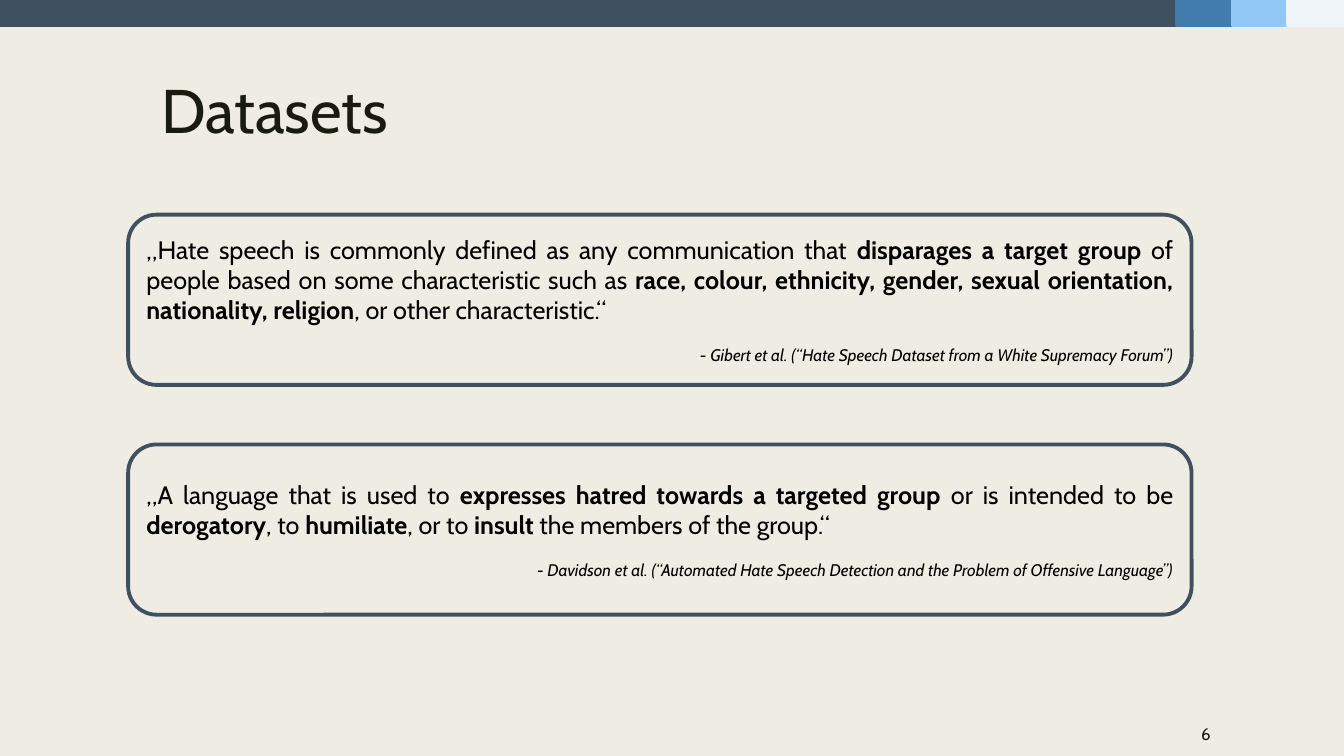
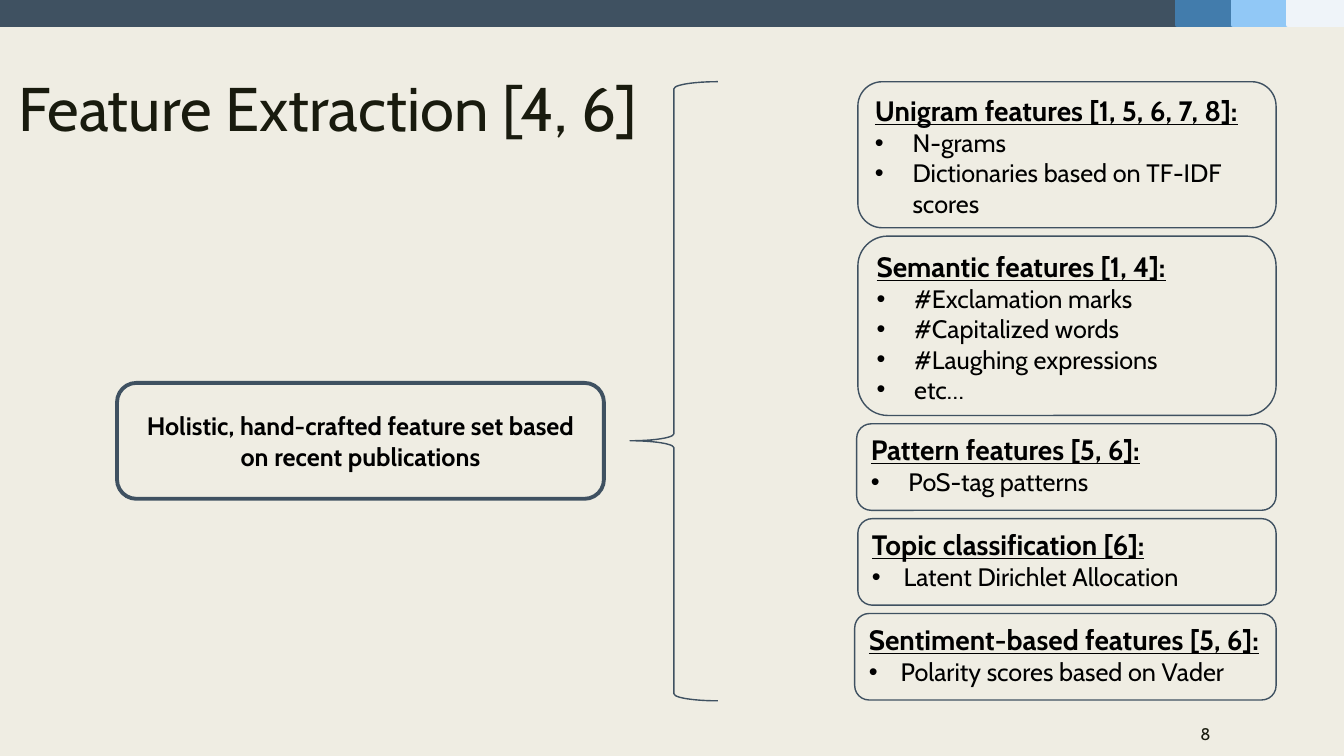
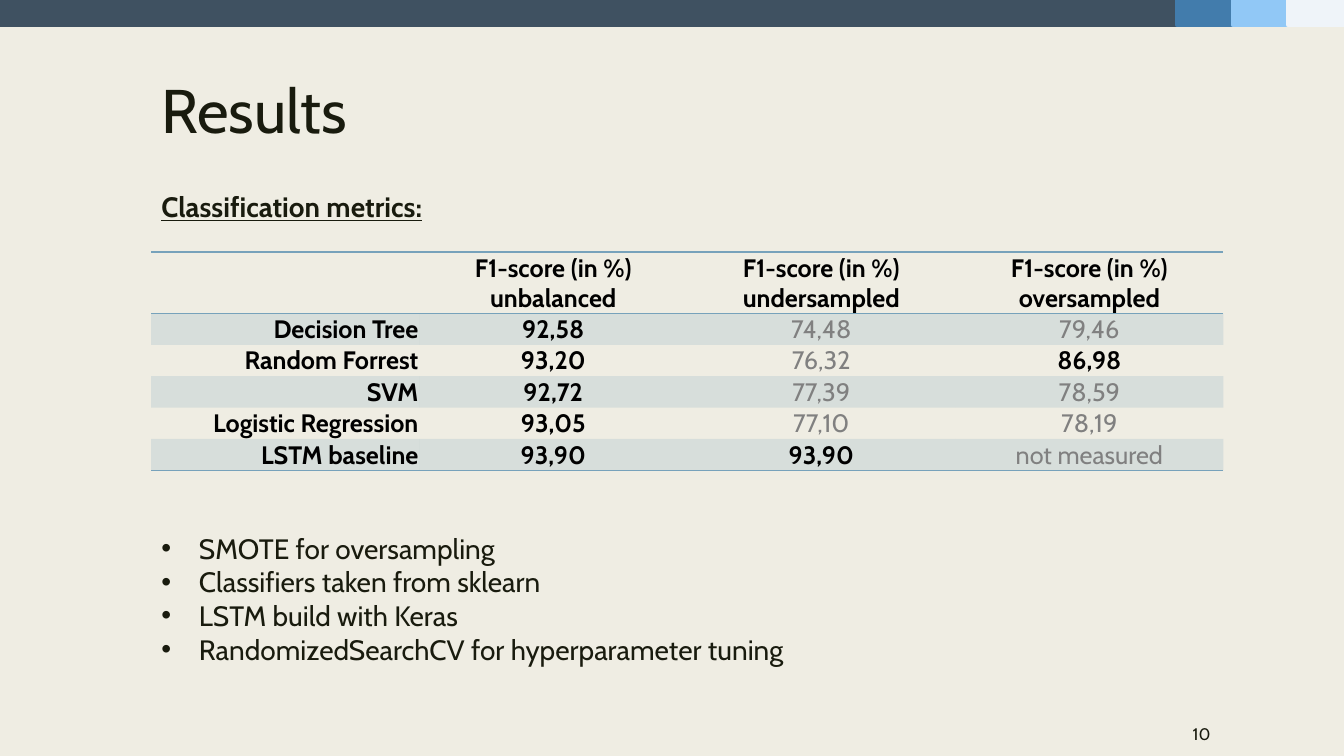
from lxml import etree
from pptx import Presentation
from pptx.dml.color import RGBColor
from pptx.enum import shapes, text
from pptx.oxml.ns import qn
from pptx.util import Cm, Pt

FONT = "Cabin"
PAPER = RGBColor(0xEF, 0xED, 0xE3)
SLATE = RGBColor(0x3F, 0x51, 0x61)
BLUE = RGBColor(0x42, 0x7C, 0xAC)
SKY = RGBColor(0x91, 0xC8, 0xF6)
ICE = RGBColor(0xEF, 0xF4, 0xF9)
INK = RGBColor(0x19, 0x1B, 0x0E)
BLACK = RGBColor(0, 0, 0)
GREY = RGBColor(0x80, 0x80, 0x80)
RULE = RGBColor(0x77, 0xA2, 0xBB)

PLAIN_TABLE = "{2D5ABB26-0587-4C30-8999-92F81FD0307C}"
TITLE_ONLY, TWO_CONTENT = 5, 3
LEFT, CENTER, RIGHT, JUSTIFY = (
    text.PP_ALIGN.LEFT, text.PP_ALIGN.CENTER,
    text.PP_ALIGN.RIGHT, text.PP_ALIGN.JUSTIFY)

QUOTES = [
    (["„Hate speech is commonly defined as any communication that ",
      "disparages a target group",
      " of people based on some characteristic such as ",
      "race, colour, ethnicity, gender, sexual orientation, nationality, religion",
      ", or other characteristic.“"],
     "- Gibert et al. (“Hate Speech Dataset from a White Supremacy Forum”)"),
    (["„A language that is used to ",
      "expresses hatred towards a targeted group ",
      "or is intended to be ", "derogatory", ", to ", "humiliate",
      ", or to ", "insult", " the members of the group.“"],
     "- Davidson et al. (“Automated Hate Speech Detection and the Problem of "
     "Offensive Language”)"),
]

# heading, items, width, height and bullet indent in cm
FEATURES = [
    ("Unigram features [1, 5, 6, 7, 8]:",
     ["N-grams", "Dictionaries based on TF-IDF scores"], 10.54, 3.68, 0.95),
    ("Semantic features [1, 4]:",
     ["#Exclamation marks", "#Capitalized words", "#Laughing expressions", "etc…"],
     10.54, 4.52, 0.95),
    ("Pattern features [5, 6]:", ["PoS-tag patterns"], 10.57, 2.18, 0.95),
    ("Topic classification [6]:", ["Latent Dirichlet Allocation"], 10.54, 2.18, 0.8),
    ("Sentiment-based features [5, 6]:", ["Polarity scores based on Vader"],
     10.62, 2.18, 0.8),
]

SAMPLINGS = ["unbalanced", "undersampled", "oversampled"]
SCORES = [
    ("Decision Tree", "92,58", "74,48", "79,46"),
    ("Random Forrest", "93,20", "76,32", "86,98"),
    ("SVM", "92,72", "77,39", "78,59"),
    ("Logistic Regression", "93,05", "77,10", "78,19"),
    ("LSTM baseline", "93,90", "93,90", "not measured"),
]
BEST_SCORES = {"86,98", "93,90"}

SETUP_NOTES = [
    "SMOTE for oversampling",
    "Classifiers taken from sklearn",
    "LSTM build with Keras",
    "RandomizedSearchCV\u00a0for hyperparameter tuning",
]


def add_run(paragraph, wording, size, color=BLACK, **styles):
    """Append one run; styles are font attributes such as bold or italic."""
    run = paragraph.add_run()
    run.text = wording
    font = run.font
    font.name, font.size = FONT, Pt(size)
    font.color.rgb = color
    for style, value in styles.items():
        setattr(font, style, value)


def add_paragraph(frame, align=LEFT, line=1.0, before=0, after=0):
    """Return the frame's first paragraph while empty, else a new one."""
    first = frame.paragraphs[0]
    paragraph = frame.add_paragraph() if first.runs else first
    paragraph.alignment = align
    paragraph.line_spacing = line
    paragraph.space_before, paragraph.space_after = Pt(before), Pt(after)
    return paragraph


def set_bullet(paragraph, indent):
    """Give a paragraph a hanging bullet, or none when indent is zero."""
    properties = paragraph._p.get_or_add_pPr()
    properties.set("marL", str(Cm(indent)))
    properties.set("indent", str(-Cm(indent)))
    if indent:
        etree.SubElement(properties, qn("a:buFont")).set("typeface", "Arial")
        etree.SubElement(properties, qn("a:buChar")).set("char", "•")
    else:
        etree.SubElement(properties, qn("a:buNone"))


def add_bullets(frame, items, size, indent, color=BLACK):
    """Write items as a bulleted list."""
    for item in items:
        paragraph = add_paragraph(frame)
        add_run(paragraph, item, size, color, bold=False)
        set_bullet(paragraph, indent)


def place(holder, left, top, width, height):
    """Move a placeholder and return its frame, anchored at the top."""
    holder.left, holder.top = Cm(left), Cm(top)
    holder.width, holder.height = Cm(width), Cm(height)
    frame = holder.text_frame
    frame.word_wrap = True
    frame.auto_size = text.MSO_AUTO_SIZE.NONE
    frame.vertical_anchor = text.MSO_ANCHOR.TOP
    return frame


def add_outline(slide, kind, left, top, width, height, weight,
                anchor=text.MSO_ANCHOR.MIDDLE):
    """Draw an unfilled slate outline."""
    outline = slide.shapes.add_shape(
        kind, Cm(left), Cm(top), Cm(width), Cm(height))
    outline.shadow.inherit = False
    outline.fill.background()
    outline.line.color.rgb = SLATE
    outline.line.width = Pt(weight)
    outline.text_frame.word_wrap = True
    outline.text_frame.vertical_anchor = anchor
    return outline


def add_master_bands(prs, slide):
    """Draw the top bands and move them to the master, for every slide."""
    left = 0
    for color, width in [(SLATE, 29.67), (BLUE, 1.4), (SKY, 1.4), (ICE, 1.4)]:
        band = slide.shapes.add_shape(
            shapes.MSO_SHAPE.RECTANGLE, Cm(left), 0, Cm(width), Cm(0.64))
        band.shadow.inherit = False
        band.fill.solid()
        band.fill.fore_color.rgb = color
        band.line.color.rgb = color
        band.line.width = Pt(2.75)
        prs.slide_master.shapes.element.append(band.element)
        left += width


def add_slide(prs, layout, title, number, left=3.81, top=1.9):
    """Add a slide with its title and page number."""
    slide = prs.slides.add_slide(prs.slide_layouts[layout])
    heading = place(slide.shapes.title, left, top, 26.67, 4.11)
    add_run(add_paragraph(heading, line=0.89), title, 44, INK)
    page = slide.shapes.add_textbox(Cm(26.31), Cm(17.93), Cm(4.45), Cm(1.12))
    page.text_frame.word_wrap = True
    page.text_frame.vertical_anchor = text.MSO_ANCHOR.MIDDLE
    add_run(add_paragraph(page.text_frame, RIGHT), str(number), 12, INK)
    return slide


def add_quote(slide, top, phrases, source):
    """Add a framed quote; every second phrase is bold."""
    frame = add_outline(slide, shapes.MSO_SHAPE.ROUNDED_RECTANGLE,
                        3.23, top, 26.8, 4.29, 2.75).text_frame
    quote = add_paragraph(frame, JUSTIFY)
    for index, phrase in enumerate(phrases):
        add_run(quote, phrase, 18, bold=index % 2 == 1)
    add_run(add_paragraph(frame, RIGHT, line=2.0), source, 12, italic=True)


def add_feature_stack(slide, right, top, gap):
    """Stack the feature groups under each other, flush right."""
    for heading, items, width, height, indent in FEATURES:
        frame = add_outline(slide, shapes.MSO_SHAPE.ROUNDED_RECTANGLE,
                            right - width, top, width, height, 1,
                            text.MSO_ANCHOR.TOP).text_frame
        add_run(add_paragraph(frame), heading, 20, bold=True, underline=True)
        add_bullets(frame, items, 18, indent)
        top += height + gap


def add_border(cell, side):
    """Draw a thin rule on one side of a cell: lnT or lnB."""
    border = etree.SubElement(cell._tc.get_or_add_tcPr(), qn("a:" + side))
    border.set("w", str(Pt(1)))
    fill = etree.SubElement(border, qn("a:solidFill"))
    etree.SubElement(fill, qn("a:srgbClr")).set("val", str(RULE))


def fill_cell(cell, shaded):
    """Tint a cell with the translucent rule colour, or leave it clear."""
    if not shaded:
        cell.fill.background()
        return
    cell.fill.solid()
    cell.fill.fore_color.rgb = RULE
    tint = cell._tc.tcPr.find(qn("a:solidFill")).find(qn("a:srgbClr"))
    etree.SubElement(tint, qn("a:alpha")).set("val", "20000")


def write_cell(cell, lines, align, anchor, strong):
    """Write a cell's lines, bold black or plain grey."""
    cell.margin_left = cell.margin_right = cell.margin_top = Cm(0.02)
    cell.margin_bottom = 0
    cell.vertical_anchor = anchor
    for wording in lines:
        add_run(add_paragraph(cell.text_frame, align), wording, 18,
                BLACK if strong else GREY, bold=strong)


def add_score_table(slide):
    """Add the table of F1 scores per classifier and sampling."""
    header = [[]] + [["F1-score (in %)", sampling] for sampling in SAMPLINGS]
    rows = [header] + [[[value] for value in row] for row in SCORES]
    table = slide.shapes.add_table(
        len(rows), len(header), Cm(3.81), Cm(6.35), Cm(27.02), Cm(5.5)).table
    table.first_row = table.horz_banding = False
    table._tbl.tblPr.find(qn("a:tableStyleId")).text = PLAIN_TABLE
    for r, row in enumerate(rows):
        table.rows[r].height = Cm(0.79 if r else 1.55)
        for c, lines in enumerate(row):
            cell = table.cell(r, c)
            if r == 0:
                add_border(cell, "lnT")
            if r in (0, len(rows) - 1):
                add_border(cell, "lnB")
            fill_cell(cell, shaded=r % 2 == 1)
            write_cell(cell, lines,
                       RIGHT if r and c == 0 else CENTER,
                       text.MSO_ANCHOR.BOTTOM if r else text.MSO_ANCHOR.MIDDLE,
                       r == 0 or c < 2 or lines[0] in BEST_SCORES)


def build_datasets(prs):
    """Slide with two definitions of hate speech."""
    slide = add_slide(prs, TITLE_ONLY, "Datasets", 6)
    add_master_bands(prs, slide)
    for index, (phrases, source) in enumerate(QUOTES):
        add_quote(slide, 5.41 + index * 5.79, phrases, source)


def build_features(prs):
    """Slide that splits the feature set into its groups."""
    slide = add_slide(prs, TITLE_ONLY, "Feature Extraction [4, 6]", 8, 0.2, 1.85)
    summary = add_outline(slide, shapes.MSO_SHAPE.ROUNDED_RECTANGLE,
                          2.95, 9.65, 12.27, 2.92, 2.75).text_frame
    add_run(add_paragraph(summary, CENTER),
            "Holistic, hand-crafted feature set based on recent publications",
            18, bold=True)
    add_feature_stack(slide, right=32.16, top=2.06, gap=0.21)
    brace = add_outline(slide, shapes.MSO_SHAPE.LEFT_BRACE,
                        15.88, 2.06, 2.21, 15.6, 1)
    brace.adjustments[0], brace.adjustments[1] = 0.08, 0.58


def build_results(prs):
    """Slide with the classification scores and the setup."""
    slide = add_slide(prs, TWO_CONTENT, "Results", 10)
    metrics = place(slide.placeholders[1], 3.81, 4.72, 7.14, 1.32)
    caption = add_paragraph(metrics, line=0.94, before=10, after=2)
    add_run(caption, "Classification metrics:", 20, INK, bold=True, underline=True)
    set_bullet(caption, 0)
    add_score_table(slide)
    setup = place(slide.placeholders[2], 3.81, 13.26, 21.69, 3.68)
    add_bullets(setup, SETUP_NOTES, 20, 0.95, INK)


def main():
    """Build the three slides and save them."""
    prs = Presentation()
    prs.slide_width, prs.slide_height = Cm(33.87), Cm(19.05)
    background = prs.slide_master.background.fill
    background.solid()
    background.fore_color.rgb = PAPER
    build_datasets(prs)
    build_features(prs)
    build_results(prs)
    prs.save("out.pptx")


main()
